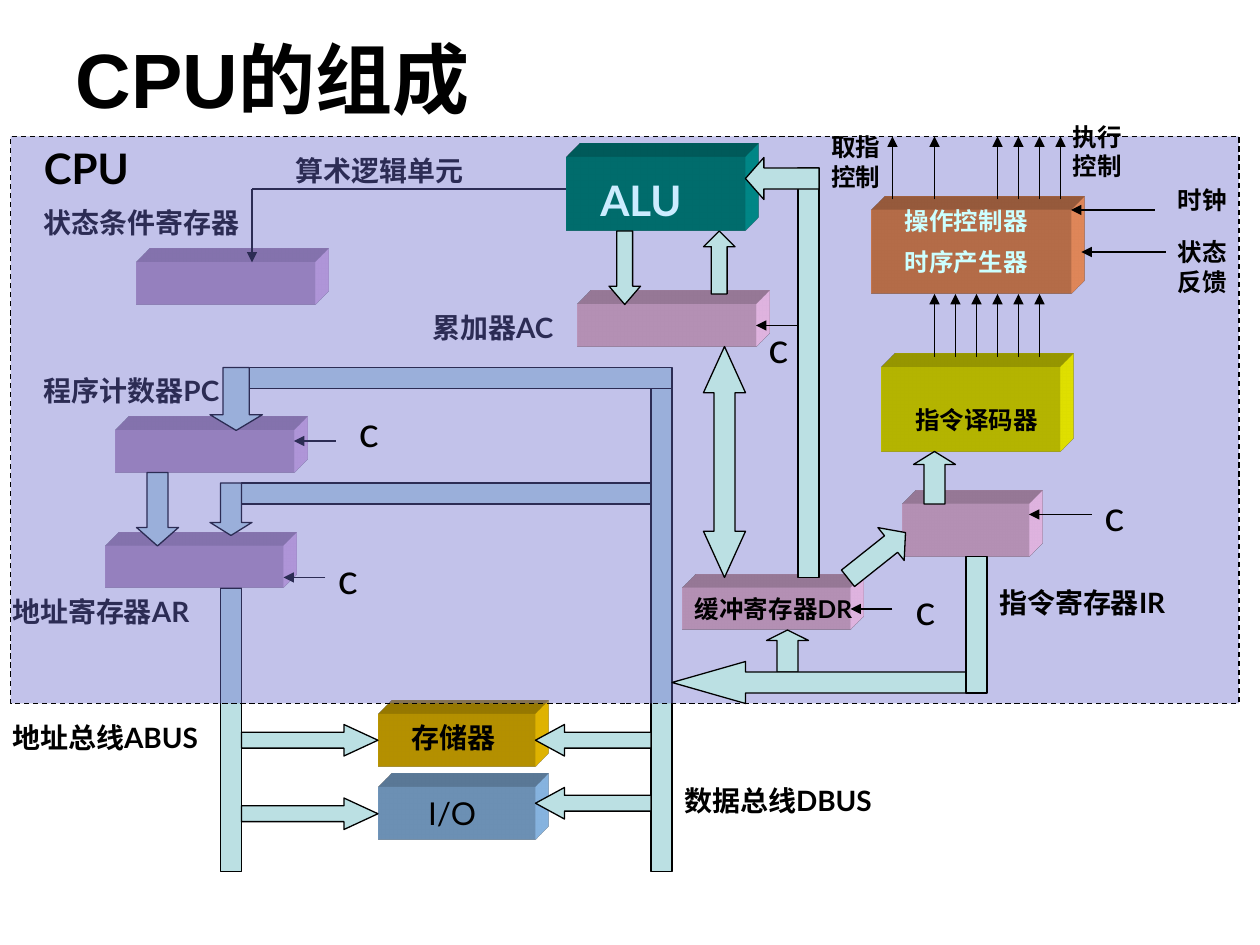
from dataclasses import dataclass
from typing import Any

from lxml import etree
from pptx import Presentation
from pptx import util as u
from pptx.dml import color
from pptx.enum import shapes, text
from pptx.oxml import ns, parse_xml

PX = 7620
COLORS = {
    "ink": "000000", "bus": "BBE0E3", "panel": "6B6BCE", "register": "FFCCFF",
    "memory": "FFCC00", "io": "99CCFF", "alu": "009999", "controller": "FF9966",
    "decoder": "FFFF00", "alu_text": "CCECFF", "controller_text": "CCFFFF",
}
KIND = shapes.MSO_SHAPE


def rgb(name):
    """Look up a palette colour."""
    return color.RGBColor.from_string(COLORS[name])


def extrude(shape, fill):
    """Give a shape an oblique solid depth in its own colour."""
    namespace = ns.nsdecls("a")
    properties = shape._element.spPr
    properties.append(parse_xml(
        f'<a:scene3d {namespace}><a:camera prst="legacyObliqueTopRight"/>'
        '<a:lightRig rig="legacyFlat3" dir="b"/></a:scene3d>'))
    properties.append(parse_xml(
        f'<a:sp3d {namespace} extrusionH="277800" prstMaterial="legacyMatte">'
        '<a:bevelT w="13500" h="13500" prst="angle"/>'
        '<a:bevelB w="13500" h="13500" prst="angle"/>'
        f'<a:extrusionClr><a:srgbClr val="{COLORS[fill]}"/></a:extrusionClr></a:sp3d>'))


@dataclass
class Region:
    """Part of the slide whose contents are placed from its top left corner."""
    slide: Any
    left: int
    top: int

    def place(self, x, y, *size):
        """Turn a relative px box into absolute EMU."""
        return [u.Emu(n * PX) for n in (self.left + x, self.top + y, *size)]

    def shape(self, kind, box, fill, outline=True):
        """Draw a filled preset shape."""
        shape = self.slide.shapes.add_shape(kind, *self.place(*box))
        shape.shadow.inherit = False
        shape.fill.solid()
        shape.fill.fore_color.rgb = rgb(fill)
        if outline:
            shape.line.color.rgb = rgb("ink")
            shape.line.width = u.Pt(0.75)
        else:
            shape.line.fill.background()
        return shape

    def block(self, *box, fill="register"):
        """Draw a solid block for a hardware unit."""
        extrude(self.shape(KIND.RECTANGLE, box, fill, outline=False), fill)

    def bus(self, *box):
        """Draw a straight bus segment."""
        self.shape(KIND.RECTANGLE, box, "bus")

    def arrow(self, kind, box, head, rotation=0):
        """Draw a block arrow with the given head length ratio."""
        shape = self.shape(kind, box, "bus")
        shape.adjustments[0] = 0.5
        shape.adjustments[1] = head
        shape.rotation = rotation

    def line(self, x1, y1, x2, y2, head=True):
        """Draw a thin signal line, ending in an arrowhead if asked."""
        connector = self.slide.shapes.add_connector(
            shapes.MSO_CONNECTOR.STRAIGHT, *self.place(x1, y1), *self.place(x2, y2))
        connector.line.color.rgb = rgb("ink")
        connector.line.width = u.Pt(0.75)
        if head:
            etree.SubElement(connector.line._get_or_add_ln(), ns.qn("a:tailEnd"), type="triangle")
        etree.SubElement(connector._element.spPr, ns.qn("a:effectLst"))

    def label(self, words, x, y, width, height=44, size=16, bold=True, ink="ink"):
        """Write a wrapped label, one paragraph per line of words."""
        box = self.slide.shapes.add_textbox(*self.place(x, y, width, height))
        frame = box.text_frame
        frame.word_wrap = True
        frame.text = words
        for paragraph in frame.paragraphs:
            paragraph.space_before = u.Pt(size / 2)
            paragraph.font.name = "Lato"
            paragraph.font.size = u.Pt(size)
            paragraph.font.bold = bold
            paragraph.font.color.rgb = rgb(ink)

    def clock_mark(self, x, y):
        """Write the letter for a control signal."""
        self.label("c", x, y, 40, 60, size=24, bold=False)


def draw_title(slide):
    """Fill the title placeholder."""
    title = slide.shapes.title
    title.left, title.top, title.width, title.height = (u.Emu(n * PX) for n in (60, -1, 1080, 150))
    title.text_frame.text = "CPU的组成"
    title.text_frame.vertical_anchor = text.MSO_ANCHOR.MIDDLE
    paragraph = title.text_frame.paragraphs[0]
    paragraph.alignment = text.PP_ALIGN.LEFT
    paragraph.font.name = "Arial"
    paragraph.font.size = u.Pt(44)
    paragraph.font.bold = True
    paragraph.font.color.rgb = rgb("ink")


def draw_memory(region):
    """Draw both buses with the memory and I/O between them."""
    region.block(360, 310, 150, 50, fill="memory")
    region.block(360, 380, 150, 50, fill="io")
    region.bus(210, 190, 20, 270)
    region.bus(620, 0, 20, 460)
    for y in (320, 390):
        region.arrow(KIND.RIGHT_ARROW, (230, y, 130, 30), 1.08)
    for y in (320, 380):
        region.arrow(KIND.LEFT_ARROW, (510, y, 110, 30), 0.92)
    region.label("地址总线ABUS", 0, 310, 250)
    region.label("数据总线DBUS", 640, 370, 250)
    region.label("存储器", 380, 310, 140)
    region.label("I/O", 396, 380, 120, 48, size=18, bold=False)


def draw_address_unit(region):
    """Draw the status, program counter and address registers."""
    for x, y in ((130, 120), (110, 280), (100, 390)):
        region.block(x, y, 170, 40)
    region.line(540, 50, 240, 50, head=False)
    region.line(240, 50, 240, 120)
    region.arrow(KIND.DOWN_ARROW, (130, 320, 40, 70), 0.44)
    region.bus(230, 220, 410, 20)
    region.arrow(KIND.DOWN_ARROW, (200, 220, 50, 60), 0.3)
    region.bus(230, 330, 390, 20)
    region.arrow(KIND.DOWN_ARROW, (200, 330, 40, 50), 0.31)
    for x, y in ((320, 290), (310, 420)):
        region.line(x, y, x - 40, y)
    region.label("算术逻辑单元", 270, 10, 230)
    for words, x, y in (("状态条件寄存器", 30, 60), ("程序计数器PC", 30, 220),
                        ("地址寄存器AR", 0, 430), ("累加器AC", 400, 160)):
        region.label(words, x, y, 250)


def draw_panel(region):
    """Draw the translucent CPU boundary and its name."""
    panel = region.shape(KIND.RECTANGLE, (0, 0, 1170, 540), "panel")
    panel.line.dash_style = 4
    fill = panel._element.spPr.find(ns.qn("a:solidFill"))
    etree.SubElement(fill[0], ns.qn("a:alpha"), val="41000")
    region.label("CPU", 20, 0, 200, 60, size=24)


def draw_arithmetic_unit(region):
    """Draw the ALU, accumulator and buffer register."""
    region.block(0, 20, 170, 70, fill="alu")
    region.block(10, 160, 170, 40)
    region.block(110, 430, 160, 40)
    region.arrow(KIND.UP_ARROW, (130, 90, 30, 60), 0.5)
    region.arrow(KIND.DOWN_ARROW, (40, 90, 30, 70), 0.58)
    region.arrow(KIND.LEFT_RIGHT_ARROW, (40, 290, 220, 40), 1.1, rotation=90)
    region.bus(220, 30, 20, 390)
    region.arrow(KIND.LEFT_ARROW, (170, 20, 70, 40), 0.44)
    region.arrow(KIND.UP_ARROW, (190, 470, 40, 40), 0.25)
    region.arrow(KIND.LEFT_ARROW, (100, 500, 280, 40), 1.75)
    for x, y in ((220, 180), (310, 450)):
        region.line(x, y, x - 40, y)
    region.label("ALU", 20, 30, 120, 60, size=24, ink="alu_text")
    region.label("缓冲寄存器DR", 110, 430, 190, 40, size=14)
    for x, y in ((180, 170), (210, 420), (320, 420), (-230, 390), (-210, 250)):
        if (x, y) != (210, 420):
            region.clock_mark(x, y)


def draw_control_unit(region):
    """Draw the controller, decoder and instruction register."""
    region.block(0, 90, 190, 80, fill="controller")
    region.block(10, 240, 170, 80, fill="decoder")
    region.block(30, 370, 120, 50)
    region.arrow(KIND.UP_ARROW, (-15, 384, 40, 70), 0.44, rotation=51.5)
    region.bus(90, 420, 20, 130)
    region.arrow(KIND.UP_ARROW, (40, 320, 40, 50), 0.31)
    for x in range(60, 180, 20):
        region.line(x, 230, x, 170)
    for x in (20, 60, *range(120, 200, 20)):
        region.line(x, 80, x, 20)
    for x, y, length in ((270, 90, 80), (280, 130, 80), (210, 380, 60)):
        region.line(x, y, x - length, y)
    region.label("指令寄存器IR", 110, 442, 250)
    region.label("指令译码器", 30, 270, 150, 40, size=14)
    region.label("操作控制器\n时序产生器", 20, 80, 180, 82, size=14, ink="controller_text")
    for words, x, y in (("时钟", 280, 60), ("状态反馈", 280, 110),
                        ("取指控制", -50, 10), ("执行控制", 180, 0)):
        region.label(words, x, y, 90, 68, size=14)
    region.clock_mark(210, 350)


def main():
    """Build and save the slide."""
    presentation = Presentation()
    presentation.slide_width, presentation.slide_height = u.Emu(1200 * PX), u.Emu(900 * PX)
    slide = presentation.slides.add_slide(presentation.slide_layouts[5])
    draw_memory(Region(slide, 0, 370))
    draw_address_unit(Region(slide, 0, 130))
    draw_panel(Region(slide, 10, 130))
    draw_arithmetic_unit(Region(slide, 540, 130))
    draw_control_unit(Region(slide, 830, 110))
    draw_title(slide)
    presentation.save("out.pptx")


if __name__ == "__main__":
    main()
